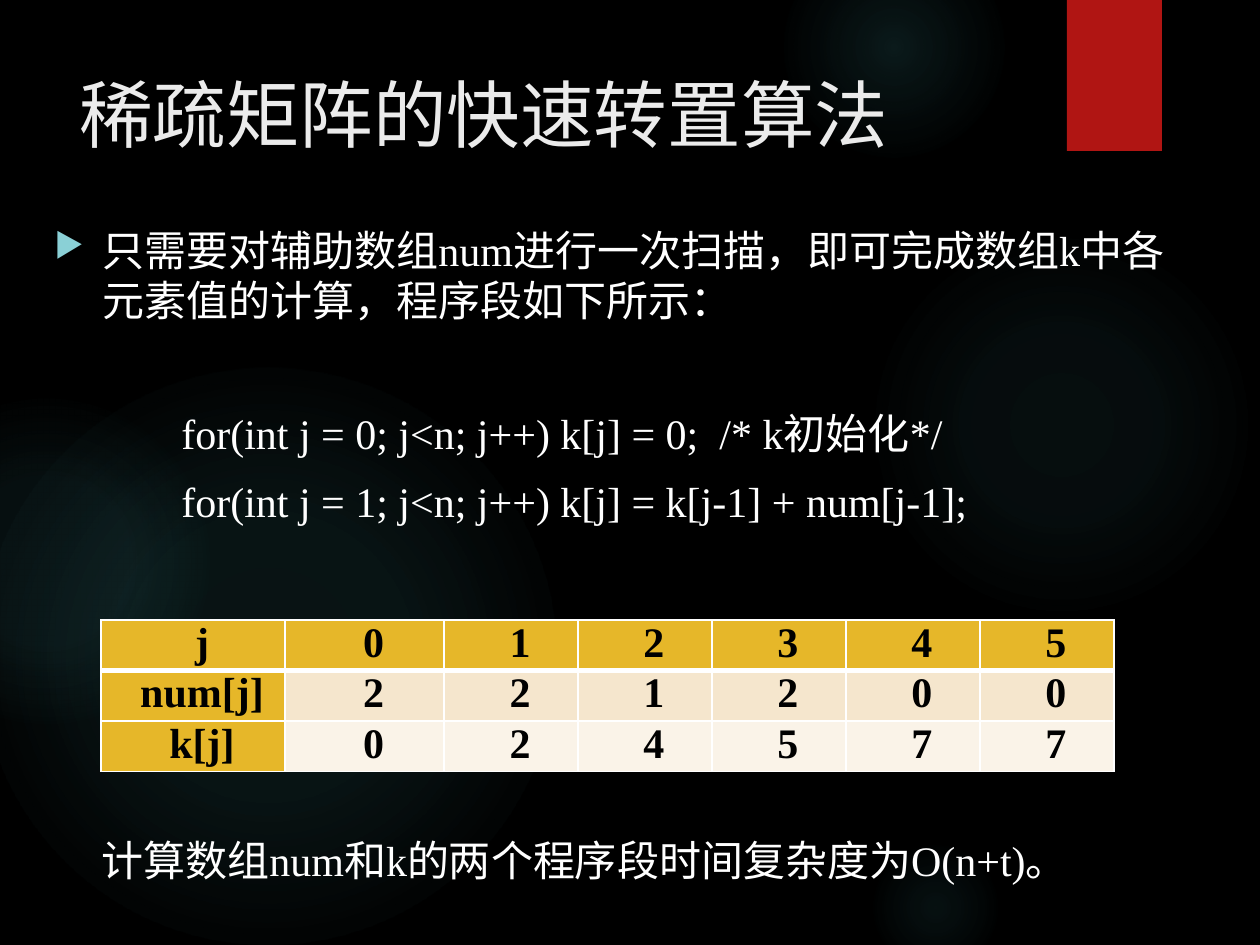
from lxml import etree
from pptx import Presentation
from pptx.dml.color import RGBColor
from pptx.enum.shapes import MSO_SHAPE
from pptx.enum.text import MSO_ANCHOR, PP_ALIGN
from pptx.oxml import parse_xml
from pptx.oxml.ns import nsdecls, qn
from pptx.util import Pt

PX = 914400 // 126
OVAL, RECTANGLE = MSO_SHAPE.OVAL, MSO_SHAPE.RECTANGLE
TOP, CENTER = MSO_ANCHOR.TOP, PP_ALIGN.CENTER
FONT = "Times New Roman"
WHITE, GOLD, TEAL = "FFFFFF", "E6B729", "50B9C1"


def color(value):
    return RGBColor.from_string(value)


def write(paragraph, text, size, fill, bold=False):
    run = paragraph.add_run()
    run.text = text
    font_format = {"name": FONT, "size": Pt(size), "bold": bold}
    for name, value in font_format.items():
        setattr(run.font, name, value)
    run.font.color.rgb = color(fill)


presentation = Presentation()
presentation.slide_width = 1260 * PX
presentation.slide_height = 945 * PX
slide = presentation.slides.add_slide(presentation.slide_layouts[6])
slide.background.fill.solid()
slide.background.fill.fore_color.rgb = color("000000")

glows = [
    (868, 231, 388, 7, 6, 69),
    (784, -63, 220, 14, 7, 73),
    (868, 840, 136, 9, 5, 66),
    (-21, 368, 577, 11, 10, 75),
    (-116, 399, 325, 8, 8, 72),
]
for left, top, diameter, inner, middle, edge in glows:
    glow = slide.shapes.add_shape(OVAL, left * PX, top * PX, diameter * PX, diameter * PX)
    glow.shadow.inherit = False
    glow.line.fill.background()
    stops = "".join(
        f'<a:gs pos="{position * 1000}"><a:srgbClr val="{TEAL}">'
        f'<a:alpha val="{alpha * 1000}"/></a:srgbClr></a:gs>'
        for position, alpha in [(0, inner), (36, middle), (edge, 0)]
    )
    gradient = parse_xml(
        f'<a:gradFill {nsdecls("a")}><a:gsLst>{stops}</a:gsLst><a:path path="circle">'
        '<a:fillToRect l="50000" t="50000" r="50000" b="50000"/></a:path></a:gradFill>'
    )
    glow.element.spPr.find(qn("a:prstGeom")).addnext(gradient)

ribbon = slide.shapes.add_shape(RECTANGLE, 1067 * PX, 0, 95 * PX, 151 * PX)
ribbon.shadow.inherit = False
ribbon.fill.solid()
ribbon.fill.fore_color.rgb = color("B01513")
ribbon.line.fill.background()

text_boxes = [
    (67, 63, 973, 193, 42, "EBEBEB", ["稀疏矩阵的快速转置算法"]),
    (42, 218, 1172, 578, 24, WHITE, [
        "只需要对辅助数组num进行一次扫描，即可完成数组k中各元素值的计算，程序段如下所示：",
        "for(int j = 0; j<n; j++) k[j] = 0;  /* k初始化*/",
        "for(int j = 1; j<n; j++) k[j] = k[j-1] + num[j-1];",
    ]),
    (89, 828, 1037, 63, 24, WHITE, ["计算数组num和k的两个程序段时间复杂度为O(n+t)。"]),
]
frames = []
for left, top, width, height, size, fill, lines in text_boxes:
    frame = slide.shapes.add_textbox(left * PX, top * PX, width * PX, height * PX).text_frame
    frame.word_wrap = True
    frame.vertical_anchor = TOP
    for index, line in enumerate(lines):
        paragraph = frame.add_paragraph() if index else frame.paragraphs[0]
        write(paragraph, line, size, fill)
    frames.append(frame)

intro, *code_lines = frames[1].paragraphs
properties = intro._p.get_or_add_pPr()
properties.set("marL", str(48 * PX))
properties.set("indent", str(-48 * PX))
for bullet_part in (
    f'<a:buClr {nsdecls("a")}><a:srgbClr val="8AD0D6"/></a:buClr>',
    f'<a:buSzPct {nsdecls("a")} val="80000"/>',
    f'<a:buChar {nsdecls("a")} char="▶"/>',
):
    properties.append(parse_xml(bullet_part))
for paragraph, space in zip(code_lines, (47, 10)):
    paragraph.space_before = Pt(space)
    paragraph._p.get_or_add_pPr().set("marL", str(127 * PX))

rows = [
    ["j", "0", "1", "2", "3", "4", "5"],
    ["num[j]", "2", "2", "1", "2", "0", "0"],
    ["k[j]", "0", "2", "4", "5", "7", "7"],
]
row_fills = [GOLD, "F5E6CD", "FAF3E8"]
column_widths = [184, 159] + [134] * 5
row_height = 46
table = slide.shapes.add_table(
    len(rows), len(column_widths), 101 * PX, 620 * PX,
    sum(column_widths) * PX, len(rows) * row_height * PX,
).table
for column, width in zip(table.columns, column_widths):
    column.width = width * PX
cell_format = {"margin_left": 9 * PX, "margin_right": 9 * PX, "margin_top": 0, "margin_bottom": 0}
for row_index, values in enumerate(rows):
    table.rows[row_index].height = row_height * PX
    for column_index, value in enumerate(values):
        cell = table.cell(row_index, column_index)
        for name, setting in cell_format.items():
            setattr(cell, name, setting)
        cell.fill.solid()
        cell.fill.fore_color.rgb = color(row_fills[row_index] if column_index else GOLD)
        paragraph = cell.text_frame.paragraphs[0]
        paragraph.alignment = CENTER
        paragraph._p.get_or_add_pPr().set("indent", str(18 * PX))
        write(paragraph, value, 24, "000000", True)
        border_widths = {"L": 1, "R": 1, "T": 3 if row_index == 1 else 1, "B": 1 if row_index else 3}
        cell_properties = cell._tc.get_or_add_tcPr()
        for position, (side, width) in enumerate(border_widths.items()):
            border = etree.Element(qn(f"a:ln{side}"), w=str(Pt(width)))
            border_fill = etree.SubElement(border, qn("a:solidFill"))
            etree.SubElement(border_fill, qn("a:srgbClr"), val=WHITE)
            cell_properties.insert(position, border)

presentation.save("out.pptx")
